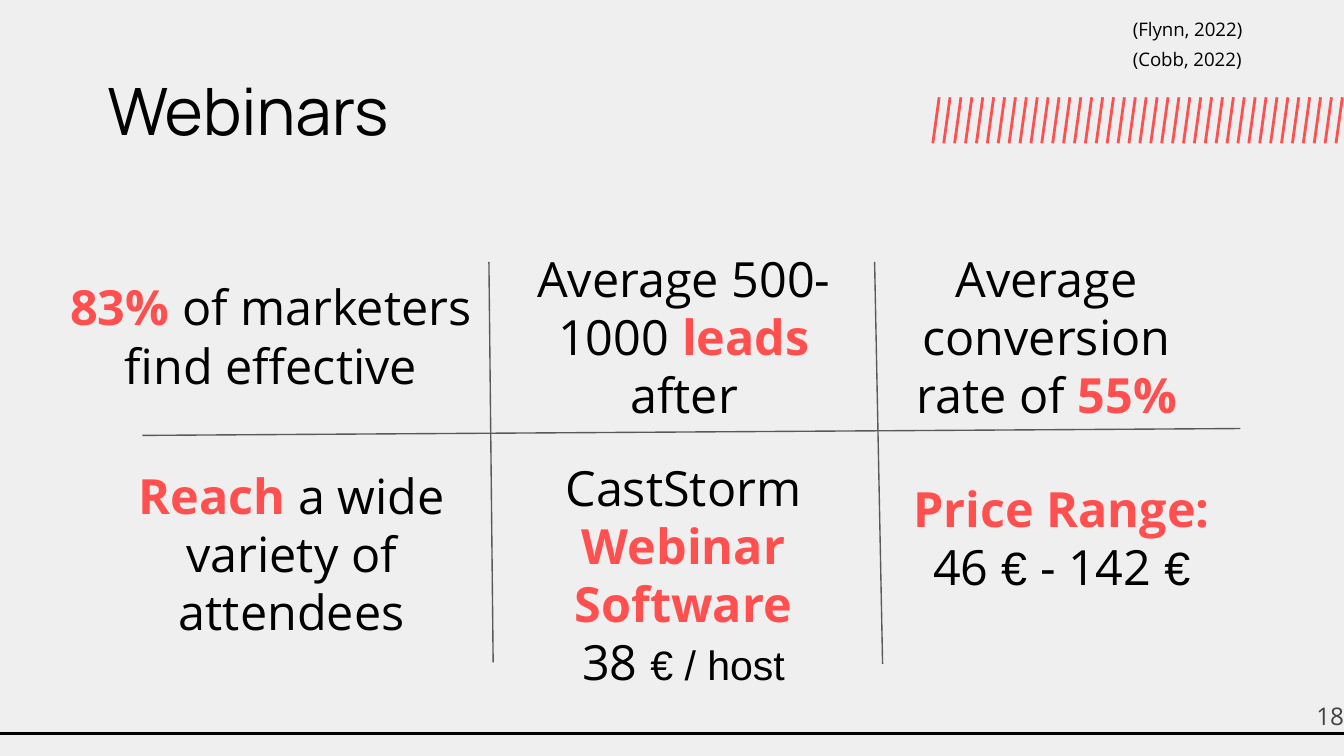
from lxml.etree import SubElement
from pptx import Presentation
from pptx.dml.color import RGBColor
from pptx.enum.shapes import MSO_CONNECTOR
from pptx.enum.text import MSO_ANCHOR, PP_ALIGN
from pptx.oxml.ns import qn
from pptx.util import Cm, Pt

PAPER = RGBColor(0xEF, 0xEF, 0xEF)
CORAL = RGBColor(0xFF, 0x4F, 0x4F)
BLACK = RGBColor(0x00, 0x00, 0x00)
DARK_GREY = RGBColor(0x43, 0x43, 0x43)
RULE_GREY = RGBColor(0x59, 0x59, 0x59)

BODY_FONT = "Open Sans"
TITLE_FONT = "Manrope"
EURO_FONT = "Arial"

SLASH_COUNT = 38

# Position in the facts area (left, top, width, height in cm), then paragraphs
# of runs; each run is its text and its style.
FACTS = [
    ((0, 0.3, 8.43, 3.25),
     [[("83%", "key"), (" of marketers find effective", "plain")]]),
    ((8.92, 0, 6.2, 3.86),
     [[("Average 500-1000 ", "plain"), ("leads", "key"), (" after", "plain")]]),
    ((15.77, 0, 6.2, 3.86),
     [[("Average conversion rate of ", "plain"), ("55%", "key")]]),
    ((0.81, 4.11, 7.59, 3.86),
     [[("Reach", "key"), (" a wide variety of attendees", "plain")]]),
    ((8.43, 3.96, 7.16, 4.95),
     [[("CastStorm", "plain")], [("Webinar", "key")], [("Software", "key")],
      [("38 ", "plain"), ("€ / host", "unit")]]),
    ((14.71, 4.37, 8.89, 2.74),
     [[("Price Range:", "key")],
      [("46 ", "plain"), ("€ ", "euro"), ("- 142 ", "plain"), ("€", "euro")]]),
]

# Start and end of each dividing line in the facts area (cm).
DIVIDERS = [
    (1.78, 3.81, 22.53, 3.68),
    (8.33, 0.53, 8.41, 8.1),
    (15.62, 0.53, 15.77, 8.13),
]

# Font, size, colour, bold
RUN_STYLES = {
    "plain": (BODY_FONT, 26, BLACK, False),
    "key": (BODY_FONT, 26, CORAL, True),
    "euro": (EURO_FONT, 25, BLACK, False),
    "unit": (EURO_FONT, 22, BLACK, False),
}


def style_font(font, name, size, color, bold=False):
    font.name = name
    font.size = Pt(size)
    font.color.rgb = color
    font.bold = bold


def add_text_frame(slide, box, anchor=MSO_ANCHOR.TOP):
    """Add a wrapping text box at box (cm) and return its text frame."""
    frame = slide.shapes.add_textbox(*map(Cm, box)).text_frame
    frame.word_wrap = True
    frame.vertical_anchor = anchor
    frame.margin_left = frame.margin_right = Cm(0.25)
    frame.margin_top = frame.margin_bottom = Cm(0.25)
    return frame


def add_label(slide, box, text, font, size, color, align=PP_ALIGN.LEFT):
    label = add_text_frame(slide, box).paragraphs[0]
    label.text = text
    label.alignment = align
    style_font(label.font, font, size, color)


def add_rule(slide, ends, color, width):
    rule = slide.shapes.add_connector(MSO_CONNECTOR.STRAIGHT, *map(Cm, ends))
    rule.line.color.rgb = color
    rule.line.width = Pt(width)
    SubElement(rule._element.spPr, qn("a:effectLst"))


def add_slash_band(slide, box):
    """Fill the box with evenly spaced slanted strokes."""
    left, top, width, height = box
    lean = 0.12
    pitch = (width - lean) / (SLASH_COUNT - 1)
    for index in range(SLASH_COUNT):
        foot = left + index * pitch
        builder = slide.shapes.build_freeform(Cm(foot + lean), Cm(top))
        builder.add_line_segments([(Cm(foot), Cm(top + height))], close=False)
        slash = builder.convert_to_shape()
        slash.fill.background()
        slash.line.color.rgb = CORAL
        slash.line.width = Pt(1.5)
        slash.shadow.inherit = False


def add_citations(slide, box):
    left, top, width, height = box
    for row, citation in enumerate(["(Flynn, 2022)", "(Cobb, 2022)"]):
        line_box = (left, top + row * height / 2, width, 0.94)
        add_label(slide, line_box, citation, BODY_FONT, 10, BLACK)


def add_fact(slide, box, paragraphs):
    frame = add_text_frame(slide, box, MSO_ANCHOR.MIDDLE)
    for index, runs in enumerate(paragraphs):
        line = frame.add_paragraph() if index else frame.paragraphs[0]
        line.alignment = PP_ALIGN.CENTER
        for text, style in runs:
            run = line.add_run()
            run.text = text
            style_font(run.font, *RUN_STYLES[style])


def add_facts(slide, box):
    """Draw the dividers and the six facts, offset from the box's corner."""
    left, top = box[:2]
    for x1, y1, x2, y2 in DIVIDERS:
        add_rule(slide, (left + x1, top + y1, left + x2, top + y2),
                 RULE_GREY, 0.75)
    for (x, y, width, height), paragraphs in FACTS:
        add_fact(slide, (left + x, top + y, width, height), paragraphs)


def add_footer(slide, box):
    left, top, width, height = box
    add_rule(slide, (left, top + 0.86, left + width, top + 0.86), BLACK, 1.5)
    number_box = (left + width - 1.52, top, 1.52, height)
    add_label(slide, number_box, "18", BODY_FONT, 13, DARK_GREY,
              PP_ALIGN.RIGHT)


def main():
    deck = Presentation()
    deck.slide_width = Cm(25.4)
    deck.slide_height = Cm(14.29)
    slide = deck.slides.add_slide(deck.slide_layouts[6])
    slide.background.fill.solid()
    slide.background.fill.fore_color.rgb = PAPER

    add_slash_band(slide, (17.63, 1.84, 7.74, 0.87))
    add_label(slide, (1.78, 1.07, 21.41, 1.6), "Webinars",
              TITLE_FONT, 35, BLACK)
    add_footer(slide, (-0.18, 13, 25.83, 1.09))
    add_facts(slide, (0.91, 4.42, 23.6, 8.91))
    add_citations(slide, (21.16, 0.13, 4.24, 1.12))
    deck.save("out.pptx")


if __name__ == "__main__":
    main()
